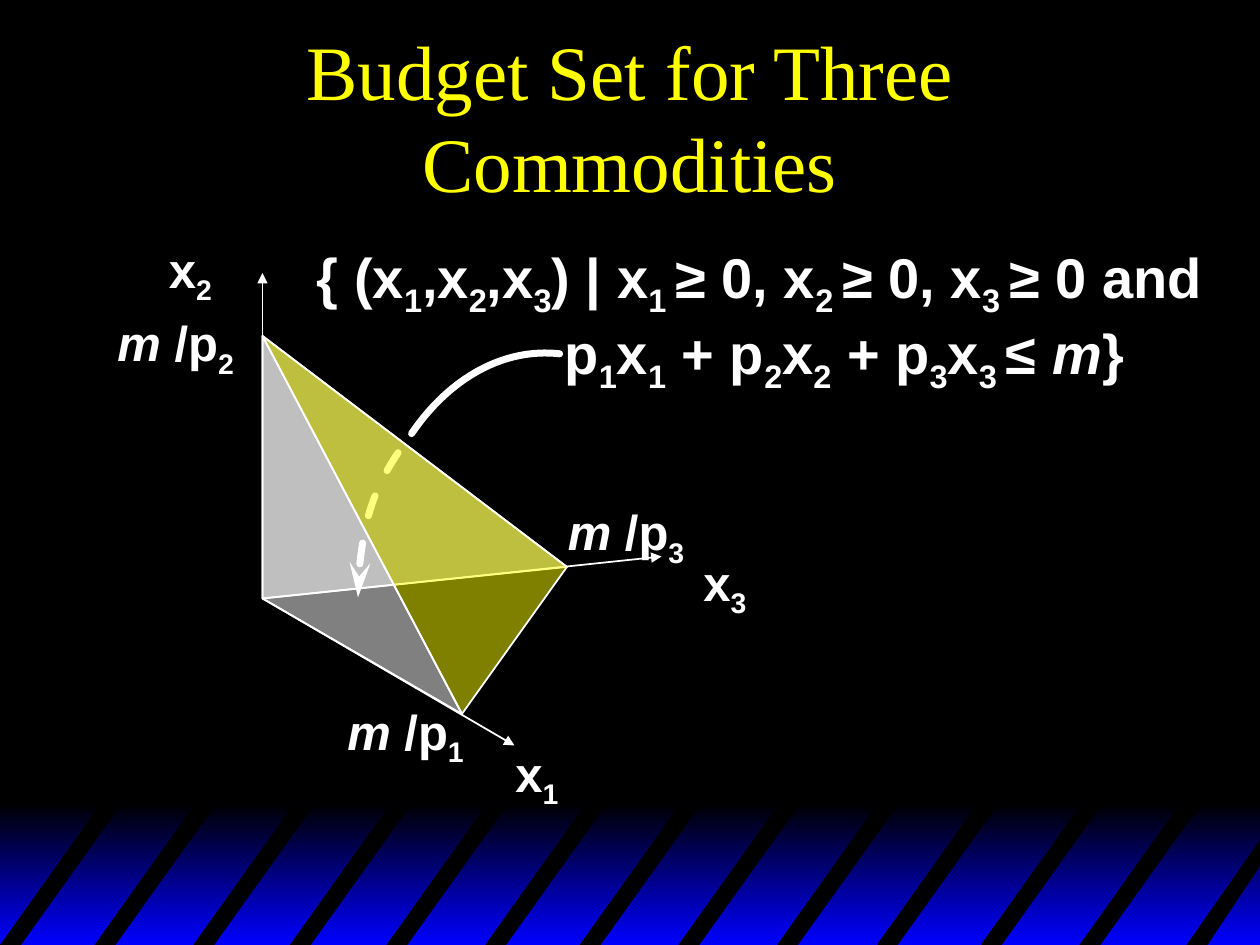
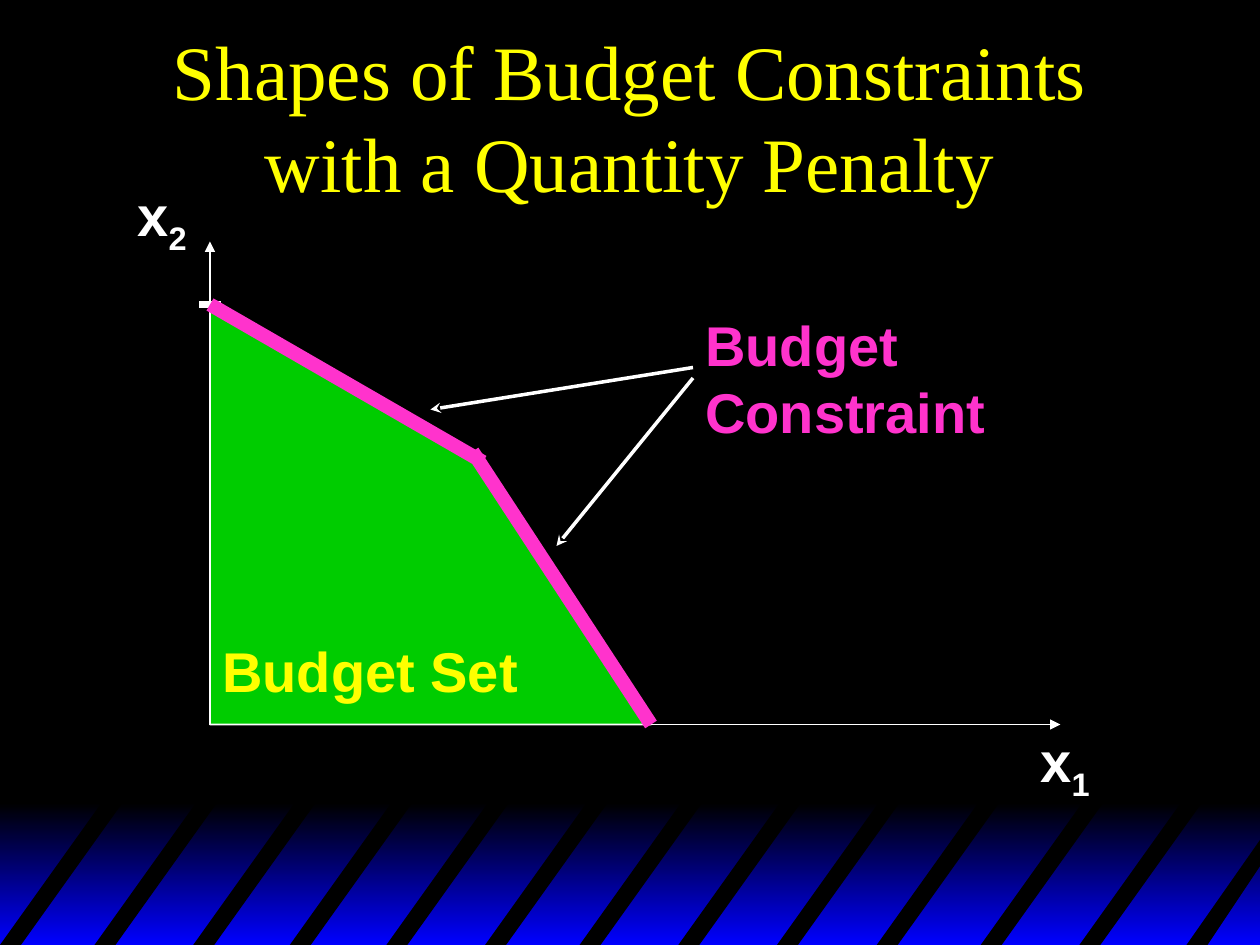
from pptx import Presentation
from pptx.dml.color import RGBColor
from pptx.enum.dml import MSO_LINE
from pptx.enum.shapes import MSO_CONNECTOR, MSO_SHAPE
from pptx.enum.text import MSO_ANCHOR, PP_ALIGN
from pptx.oxml.ns import qn
from pptx.util import Inches, Pt
from lxml import etree

RECTANGLE = MSO_SHAPE.RECTANGLE
STRAIGHT = MSO_CONNECTOR.STRAIGHT
DASH = MSO_LINE.DASH
LEFT, CENTER = PP_ALIGN.LEFT, PP_ALIGN.CENTER
TOP, MIDDLE = MSO_ANCHOR.TOP, MSO_ANCHOR.MIDDLE

COLUMNS, ROWS = 120, 90
CELL = Inches(10) / COLUMNS
BLACK, WHITE, BLUE = "000000", "FFFFFF", "0000FF"
YELLOW, GREEN, PINK = "FFFF00", "00CC00", "FF33CC"
BODY_FONT, TITLE_FONT = "Arial", "Times New Roman"
BAND_TOP = 76.5
STRIPE_TOP = 76
STRIPE_STARTS = [0, 9, 18.4, 27.6, 36.8, 46.2, 55.2, 64.6, 74, 83.5, 93.4, 102.8]
STRIPE_LEAN, STRIPE_WIDTH = 10, 2
CLIPPED_STRIPE = [(113, ROWS), (COLUMNS, 80), (COLUMNS, 82.5), (115, ROWS)]


def color(value):
    return RGBColor.from_string(value)


def cells(*values):
    return [round(value * CELL) for value in values]


def write(paragraph, text, size=28, font=BODY_FONT, ink=WHITE, bold=True):
    for italic_index, part in enumerate(text.split("*")):
        for subscript_index, piece in enumerate(part.split("~")):
            if not piece:
                continue
            run = paragraph.add_run()
            run.text = piece
            run.font.size = Pt(size)
            run.font.name = font
            run.font.bold = bold
            run.font.italic = italic_index % 2 == 1
            run.font.color.rgb = color(ink)
            if subscript_index % 2:
                run.font._element.set("baseline", "-25000")


class Deck:
    def __init__(self):
        self.presentation = Presentation()
        self.presentation.slide_width, self.presentation.slide_height = cells(COLUMNS, ROWS)
        self.slide = None

    def add_slide(self, title):
        self.slide = self.presentation.slides.add_slide(self.presentation.slide_layouts[6])
        background = self.slide.background.fill
        background.solid()
        background.fore_color.rgb = color(BLACK)
        self.band()
        self.text(title, 9, 3, 102, 16, align=CENTER, anchor=MIDDLE,
                  size=44, font=TITLE_FONT, ink=YELLOW, bold=False)

    def band(self):
        band = self.slide.shapes.add_shape(
            RECTANGLE, *cells(0, BAND_TOP, COLUMNS, ROWS - BAND_TOP))
        band.shadow.inherit = False
        band.line.fill.background()
        band.fill.gradient()
        band.fill.gradient_angle = 270
        for stop, shade in zip(band.fill.gradient_stops, (BLACK, BLUE)):
            stop.color.rgb = color(shade)
        for start in STRIPE_STARTS:
            top = start + STRIPE_LEAN
            self.polygon([(start, ROWS), (top, STRIPE_TOP),
                          (top + STRIPE_WIDTH, STRIPE_TOP),
                          (start + STRIPE_WIDTH, ROWS)], BLACK, outline=None)
        self.polygon(CLIPPED_STRIPE, BLACK, outline=None)

    def text(self, lines, left, top, width, height, align=LEFT, anchor=TOP,
             indents=(0,), **style):
        frame = self.slide.shapes.add_textbox(*cells(left, top, width, height)).text_frame
        frame.word_wrap = True
        frame.vertical_anchor = anchor
        for index, line in enumerate(lines.split("\n")):
            paragraph = frame.add_paragraph() if index else frame.paragraphs[0]
            paragraph.alignment = align
            if indents[index]:
                paragraph._p.get_or_add_pPr().set("marL", str(cells(indents[index])[0]))
            write(paragraph, line, **style)

    def outline(self, shape, ink, width, head=None, tail=None, length="med"):
        shape.line.color.rgb = color(ink)
        shape.line.width = Pt(width)
        line = shape.line._get_or_add_ln()
        for tag, kind in (("a:headEnd", head), ("a:tailEnd", tail)):
            if kind:
                etree.SubElement(line, qn(tag), type=kind, w="med", len=length)

    def line(self, start, end, ink=WHITE, width=1, tail=None):
        connector = self.slide.shapes.add_connector(STRAIGHT, *cells(*start, *end))
        etree.SubElement(connector._element.spPr, qn("a:effectLst"))
        connector._element.spPr.remove(connector._element.spPr[-1])
        self.outline(connector, ink, width, tail=tail)
        etree.SubElement(connector._element.spPr, qn("a:effectLst"))

    def freeform(self, points, close):
        builder = self.slide.shapes.build_freeform(*cells(*points[0]), scale=1.0)
        builder.add_line_segments([cells(*point) for point in points[1:]], close=close)
        shape = builder.convert_to_shape()
        shape.shadow.inherit = False
        return shape

    def polygon(self, points, fill, opacity=100, outline=WHITE):
        shape = self.freeform(points, True)
        shape.fill.solid()
        shape.fill.fore_color.rgb = color(fill)
        if opacity < 100:
            shade = shape._element.spPr.find(qn("a:solidFill"))[0]
            etree.SubElement(shade, qn("a:alpha"), val=str(opacity * 1000))
        if outline:
            self.outline(shape, outline, 1)
        else:
            shape.line.fill.background()

    def curve(self, points, width=4, dash=None, head=None):
        shape = self.freeform(points, False)
        shape.fill.background()
        segments = list(shape._element.iter(qn("a:lnTo")))
        bezier = etree.SubElement(segments[0].getparent(), qn("a:cubicBezTo"))
        for segment in segments:
            bezier.append(segment[0])
            segment.getparent().remove(segment)
        if dash:
            shape.line.dash_style = dash
        shape.line._get_or_add_ln().set("cap", "rnd")
        self.outline(shape, WHITE, width, head=head, length="lg")


def three_commodities(deck):
    origin, good_1, good_2, good_3 = (25, 57), (44, 68), (25, 32), (54, 54)
    deck.add_slide("Budget Set for Three Commodities")
    for axis_end in ((25, 26), (49, 71), (63, 53)):
        deck.line(origin, axis_end, tail="triangle")
    for label, left, top, width in (
            ("x~2~", 14.9, 22.2, 8), ("x~1~", 47.9, 70.2, 8), ("x~3~", 65.8, 52, 8),
            ("*m *~/p~2", 10, 29.2, 14), ("*m* /p~1~", 31.9, 66.2, 14),
            ("*m* /p~3~", 52.9, 47.2, 14)):
        deck.text(label.replace("~/p~2", "/p~2~"), left, top, width, 7.5)
    deck.polygon([good_2, good_3, origin], WHITE, 50)
    deck.text("{ (x~1~,x~2~,x~3~) | x~1 ~≥ 0, x~2 ~≥ 0, x~3 ~≥ 0 and\n"
              "p~1~x~1~ + p~2~x~2~ + p~3~x~3 ~≤ *m*}",
              29, 22.5, 94, 15.8, indents=(0, 23.6), size=32)
    deck.curve([(34.1, 56.9), (34.1, 51.6), (35.5, 46.6), (38.2, 42.7)],
               dash=DASH, head="stealth")
    deck.curve([(39.2, 41.3), (42.8, 36), (48, 33.1), (53.3, 33.7)])
    deck.polygon([good_2, good_1, good_3], YELLOW, 50)
    deck.polygon([good_2, good_1, origin], WHITE, 50)


def quantity_penalty(deck):
    origin, intercept, kink, limit = (20, 69), (20, 29), (45, 43), (62, 69)
    deck.add_slide("Shapes of Budget Constraints with a Quantity Penalty")
    deck.polygon([intercept, kink, limit, origin], GREEN)
    for axis_end in ((20, 23), (101, 69)):
        deck.line(origin, axis_end, tail="triangle")
    deck.line((19, 29), (21, 29), width=4)
    deck.line((66, 35), (41, 39), width=2, tail="stealth")
    deck.line((66, 36), (53, 52), width=2, tail="stealth")
    deck.text("x~2~", 11.9, 16.6, 8, 8.5, size=32)
    deck.text("x~1~", 97.9, 68.6, 8, 8.5, size=32)
    deck.text("Budget Set", 20, 60, 32.4, 7.6, size=32, ink=YELLOW)
    deck.text("Budget Constraint", 66, 29, 31, 14, size=32, ink=PINK)
    deck.line(kink, limit, PINK, 8)
    deck.line(intercept, (46, 44), PINK, 8)


def main():
    deck = Deck()
    three_commodities(deck)
    quantity_penalty(deck)
    deck.presentation.save("out.pptx")


if __name__ == "__main__":
    main()
